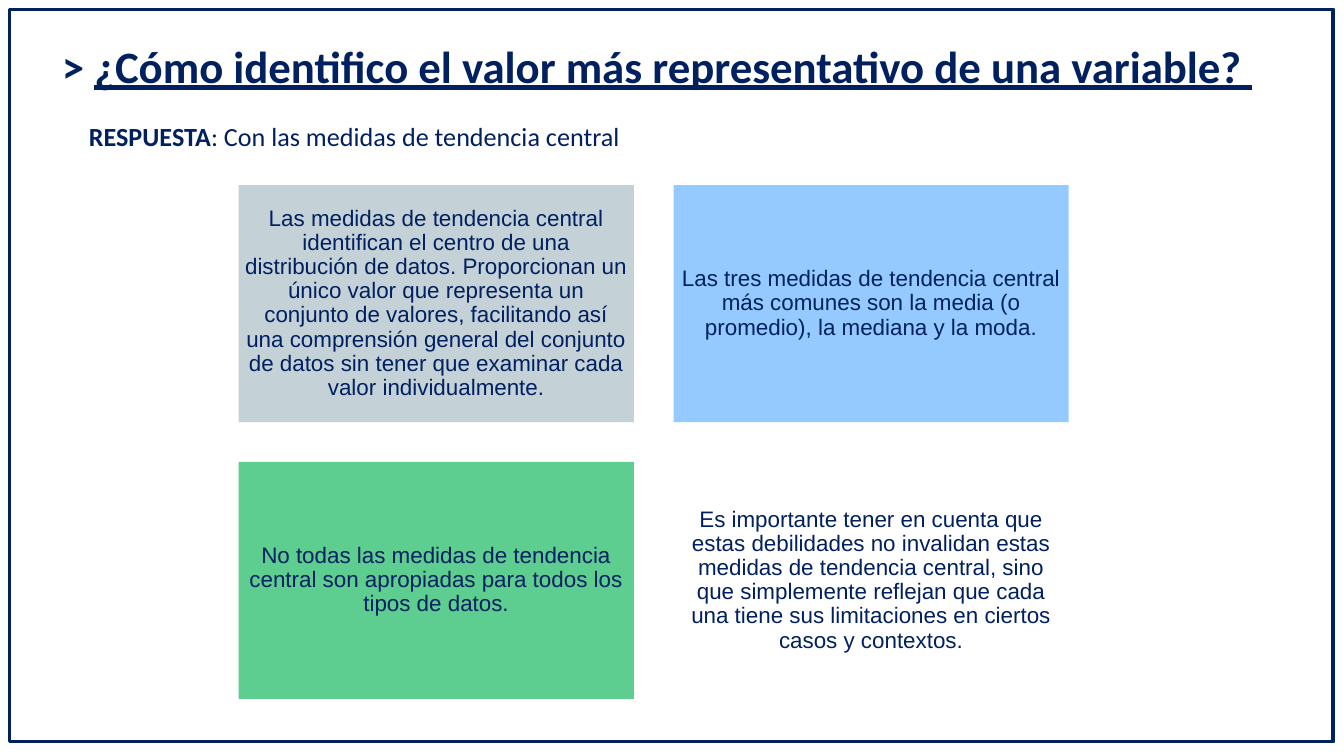
from lxml import etree
from pptx import Presentation
from pptx.dml.color import RGBColor
from pptx.enum.shapes import MSO_SHAPE
from pptx.enum.text import MSO_ANCHOR, PP_ALIGN
from pptx.oxml.ns import qn
from pptx.util import Cm, Pt

NAVY = "002060"
GAP = 0.75

# Text, fill colour, opacity in percent
CARDS = [
    ("Las medidas de tendencia central identifican el centro de una distribución "
     "de datos. Proporcionan un único valor que representa un conjunto de valores, "
     "facilitando así una comprensión general del conjunto de datos sin tener que "
     "examinar cada valor individualmente.", "BECCD2", 90),
    ("Las tres medidas de tendencia central más comunes son la media (o promedio), "
     "la mediana y la moda.", "74BBFF", 77),
    ("No todas las medidas de tendencia central son apropiadas para todos los tipos "
     "de datos.", "00B050", 63),
    ("Es importante tener en cuenta que estas debilidades no invalidan estas medidas "
     "de tendencia central, sino que simplemente reflejan que cada una tiene sus "
     "limitaciones en ciertos casos y contextos.", "FFFFFF", 50),
]


def color(value):
    return RGBColor.from_string(value)


def set_font(paragraph, name, size):
    paragraph.font.name = name
    paragraph.font.size = Pt(size)
    paragraph.font.color.rgb = color(NAVY)


def add_rectangle(slide, left, top, width, height):
    shape = slide.shapes.add_shape(
        MSO_SHAPE.RECTANGLE, Cm(left), Cm(top), Cm(width), Cm(height))
    shape.shadow.inherit = False
    return shape


def add_frame(slide, left, top, width, height):
    shape = add_rectangle(slide, left, top, width, height)
    shape.fill.background()
    shape.line.color.rgb = color(NAVY)
    shape.line.width = Pt(2)


def add_text(slide, left, top, width, height, size):
    """Add a wrapping text box and return its styled first paragraph."""
    box = slide.shapes.add_textbox(Cm(left), Cm(top), Cm(width), Cm(height))
    box.text_frame.word_wrap = True
    paragraph = box.text_frame.paragraphs[0]
    set_font(paragraph, "Calibri", size)
    return paragraph


def add_title(slide, left, top, width, height):
    paragraph = add_text(slide, left, top, width, height, 24)
    paragraph.font.bold = True
    paragraph.add_run().text = "> "
    question = paragraph.add_run()
    question.text = "¿Cómo identifico el valor más representativo de una variable? "
    question.font.underline = True


def add_answer(slide, left, top, width, height):
    paragraph = add_text(slide, left, top, width, height, 14)
    label = paragraph.add_run()
    label.text = "RESPUESTA"
    label.font.bold = True
    paragraph.add_run().text = ": Con las medidas de tendencia central"


def add_card(slide, left, top, width, height, text, fill, opacity):
    shape = add_rectangle(slide, left, top, width, height)
    shape.line.fill.background()
    shape.fill.solid()
    shape.fill.fore_color.rgb = color(fill)
    # Transparency of the fill
    fill_color = shape.element.spPr.find(qn("a:solidFill"))[0]
    etree.SubElement(fill_color, qn("a:alpha")).set("val", str(opacity * 1000))

    frame = shape.text_frame
    frame.word_wrap = True
    frame.vertical_anchor = MSO_ANCHOR.MIDDLE
    frame.margin_left = frame.margin_right = Cm(0.12)
    frame.margin_top = frame.margin_bottom = Cm(0.12)
    paragraph = frame.paragraphs[0]
    paragraph.text = text
    paragraph.alignment = PP_ALIGN.CENTER
    paragraph.line_spacing = 0.9
    set_font(paragraph, "Arial", 12)


def add_card_grid(slide, left, top, width, height):
    """Place the cards in two columns and two rows."""
    card_width = (width - GAP) / 2
    card_height = (height - GAP) / 2
    for index, card in enumerate(CARDS):
        row, column = divmod(index, 2)
        add_card(slide, left + column * (card_width + GAP),
                 top + row * (card_height + GAP), card_width, card_height, *card)


def main():
    presentation = Presentation()
    presentation.slide_width = Cm(25.4)
    presentation.slide_height = Cm(14.29)
    slide = presentation.slides.add_slide(presentation.slide_layouts[6])

    add_frame(slide, 0.18, 0.18, 25.02, 13.84)
    add_title(slide, 0.92, 0.6, 25.25, 2.3)
    add_card_grid(slide, 4.51, 3.5, 15.69, 9.71)
    add_answer(slide, 1.43, 2.16, 13.08, 0.86)

    presentation.save("out.pptx")


if __name__ == "__main__":
    main()
